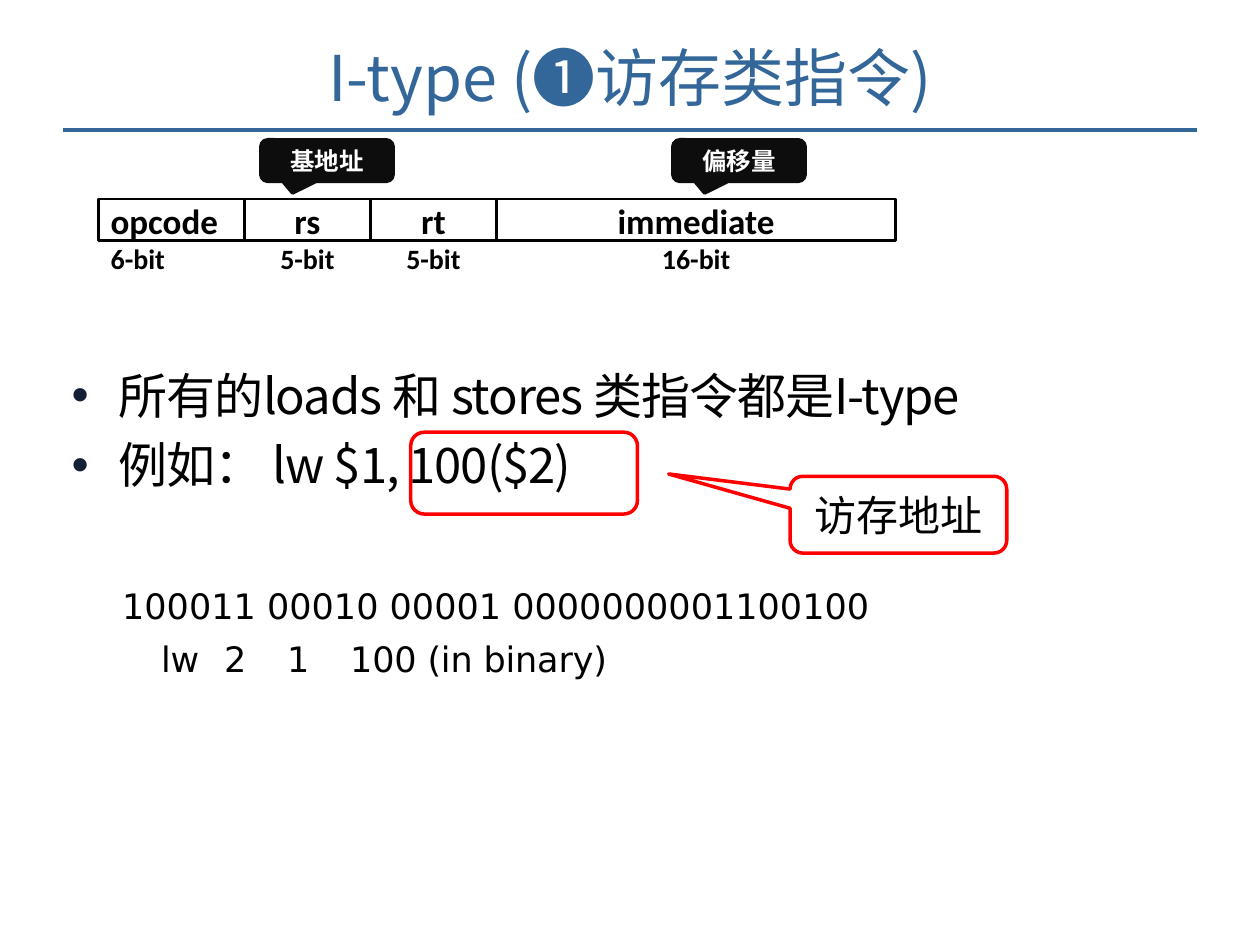
"""Build the slide on I-type memory access instructions."""
from lxml.etree import SubElement
from pptx import Presentation
from pptx.dml.color import RGBColor
from pptx.enum.shapes import MSO_CONNECTOR, MSO_SHAPE
from pptx.enum.text import MSO_ANCHOR, PP_ALIGN
from pptx.oxml.ns import qn
from pptx.util import Inches, Pt

CHINESE_FONT = "Noto Sans CJK SC"
CENTER = PP_ALIGN.CENTER


def add_text(paragraph, text, color, spacing=0, **format_values):
    run = paragraph.add_run()
    run.text = text
    for name, value in format_values.items():
        setattr(run.font, name, value)
    run.font.color.rgb = RGBColor.from_string(color)
    properties = run.font._element
    SubElement(properties, qn("a:ea"), typeface=format_values["name"])
    if spacing:
        properties.set("spc", str(spacing))


def add_box(kind, bounds, fill, line, width):
    shape = slide.shapes.add_shape(kind, *map(Inches, bounds))
    shape.shadow.inherit = False
    if fill:
        shape.fill.solid()
        shape.fill.fore_color.rgb = RGBColor.from_string(fill)
    else:
        shape.fill.background()
    shape.line.color.rgb = RGBColor.from_string(line)
    shape.line.width = Pt(width)
    return shape


presentation = Presentation()
presentation.slide_width = Inches(10)
presentation.slide_height = Inches(7.5)
slide = presentation.slides.add_slide(presentation.slide_layouts[6])

rule = slide.shapes.add_connector(
    MSO_CONNECTOR.STRAIGHT, Inches(0.5), Inches(1.03), Inches(9.5), Inches(1.03)
)
rule.line.color.rgb = RGBColor.from_string("336699")
rule.line.width = Pt(2)
SubElement(rule._element.spPr, qn("a:effectLst"))

body = slide.shapes.add_textbox(Inches(0.56), Inches(2.9), Inches(8.84), Inches(2.68))
body_frame = body.text_frame
margins = ("margin_left", "margin_top", "margin_right", "margin_bottom")
for margin in margins:
    setattr(body_frame, margin, 0)
body_frame.word_wrap = True

bullet_format = {"size": Pt(28), "name": CHINESE_FONT, "spacing": -60}
binary_format = {"size": Pt(20), "name": "DejaVu Sans"}
body_lines = [
    ("所有的loads 和 stores 类指令都是I-type", 0, 0.38, True, [], bullet_format),
    ("例如： lw $1, 100($2)", 6, 0.38, True, [], bullet_format),
    ("100011 00010 00001 0000000001100100", 52, 0.41, False, [], binary_format),
    ("lw\t2\t1\t100 (in binary)", 6, 0.72, False, [1.91, 2.79, 3.58],
     {**binary_format, "spacing": -10}),
]
for index, (text, before, indent, bulleted, stops, text_format) in enumerate(body_lines):
    paragraph = body_frame.add_paragraph() if index else body_frame.paragraphs[0]
    paragraph.space_before = Pt(before)
    paragraph.space_after = Pt(0)
    properties = paragraph._element.get_or_add_pPr()
    properties.set("marL", str(Inches(indent)))
    properties.set("indent", str(Inches(-0.37 if bulleted else 0)))
    if bulleted:
        bullet_color = SubElement(properties, qn("a:buClr"))
        SubElement(bullet_color, qn("a:srgbClr"), val="151F36")
        SubElement(properties, qn("a:buFont"), typeface="Arial")
        SubElement(properties, qn("a:buChar"), char="•")
    if stops:
        tab_list = SubElement(properties, qn("a:tabLst"))
        for stop in stops:
            SubElement(tab_list, qn("a:tab"), pos=str(Inches(stop)), algn="l")
    add_text(paragraph, text, "000000", **text_format)

title = slide.shapes.add_textbox(Inches(0), Inches(0.23), Inches(10), Inches(0.75))
title.text_frame.word_wrap = True
title.text_frame.vertical_anchor = MSO_ANCHOR.MIDDLE
title_paragraph = title.text_frame.paragraphs[0]
title_paragraph.alignment = CENTER
add_text(title_paragraph, "I-type (❶访存类指令)", "336699", size=Pt(36), name=CHINESE_FONT)

left = 0.78
for field, bits, width, alignment in [
    ("opcode", "6-bit", 1.16, PP_ALIGN.LEFT),
    ("rs", "5-bit", 1, CENTER),
    ("rt", "5-bit", 1, CENTER),
    ("immediate", "16-bit", 3.17, CENTER),
]:
    shape = add_box(MSO_SHAPE.RECTANGLE, (left, 1.58, width, 0.33), "FFFFFF", "000000", 1.5)
    left += width
    frame = shape.text_frame
    frame.word_wrap = False
    frame.vertical_anchor = MSO_ANCHOR.TOP
    for margin, value in zip(margins, (0.1, 0, 0.1, 0.05)):
        setattr(frame, margin, Inches(value))
    for paragraph, text, size in [
        (frame.paragraphs[0], field, 20), (frame.add_paragraph(), bits, 16)
    ]:
        paragraph.alignment = alignment
        add_text(paragraph, text, "000000", size=Pt(size), name="Calibri", bold=True)

add_box(MSO_SHAPE.ROUNDED_RECTANGLE, (3.26, 3.43, 1.8, 0.65), None, "FF0000", 2)

label_format = {"size": Pt(14), "bold": True}
for text, bounds, pointer, fill, line, color, text_format in [
    ("访存地址", (6.27, 3.78, 1.72, 0.61), (-1.06, -0.53), None, "FF0000", "000000",
     {"size": Pt(24)}),
    ("基地址", (2.07, 1.11, 1.05, 0.33), (-0.26, 0.78), "0D0D0D", "0D0D0D", "FFFFFF",
     label_format),
    ("偏移量", (5.34, 1.11, 1.05, 0.33), (-0.26, 0.78), "0D0D0D", "0D0D0D", "FFFFFF",
     label_format),
]:
    callout = add_box(MSO_SHAPE.ROUNDED_RECTANGULAR_CALLOUT, bounds, fill, line, 2)
    callout.adjustments[0], callout.adjustments[1] = pointer
    callout.text_frame.vertical_anchor = MSO_ANCHOR.MIDDLE
    paragraph = callout.text_frame.paragraphs[0]
    paragraph.alignment = CENTER
    add_text(paragraph, text, color, name=CHINESE_FONT, **text_format)

presentation.save("out.pptx")
